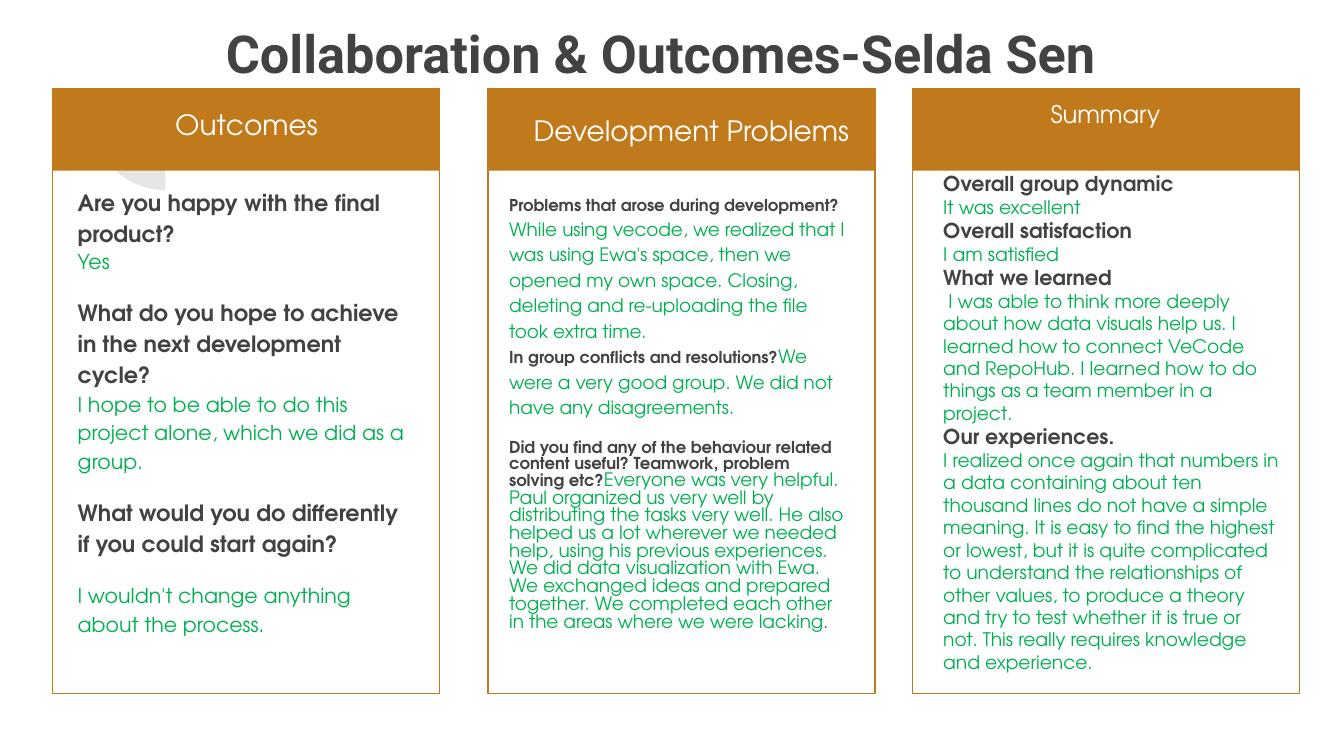
from dataclasses import dataclass

from lxml.etree import SubElement
from pptx import Presentation
from pptx.dml.color import RGBColor
from pptx.enum.shapes import MSO_SHAPE
from pptx.enum.text import MSO_ANCHOR, PP_ALIGN
from pptx.oxml.ns import qn
from pptx.util import Inches, Pt


@dataclass(frozen=True)
class Theme:
    ink: RGBColor = RGBColor(0x42, 0x42, 0x42)
    answer: RGBColor = RGBColor(0x00, 0xB0, 0x50)
    accent: RGBColor = RGBColor(0xC0, 0x79, 0x1B)
    white: RGBColor = RGBColor(0xFF, 0xFF, 0xFF)
    title_font: str = "Roboto"
    body_font: str = "TeX Gyre Adventor"
    title_size: float = 28


@dataclass
class Para:
    """One paragraph: (kind, text) runs, where kind is q, a or end."""
    runs: list
    spacing: float = 1.0
    before: float = 0
    after: float = 0


@dataclass
class Column:
    left: float
    heading: str
    heading_at: tuple
    heading_size: float
    body_at: tuple
    body_height: float
    question_size: float
    answer_size: float
    paras: list


COLUMNS = [
    Column(0.39, "Outcomes", (0.47, 0.66), 15, (0.48, 1.28), 3.88, 12, 11, [
        Para([("q", "Are you happy with the final product?")], 1.15),
        Para([("a", "Yes")], 1.05),
        Para([("q", "What do you hope to achieve in the next development cycle?")],
             1.15, before=12),
        Para([("a", "I hope to be able to do this project alone, which we did "
                    "as a group.")], 1.15),
        Para([("q", "What would you do differently if you could start again?")],
             1.15, before=12, after=12),
        Para([("a", "I wouldn't change anything about the process.")], 1.15),
    ]),
    Column(3.63, "Development Problems", (3.78, 0.71), 15, (3.69, 1.38), 3.78, 8.8, 9.9, [
        Para([("q", "Problems that arose during development?")], 0.8),
        Para([("a", "While using vecode, we realized that I was using Ewa's space, "
                    "then we opened my own space. Closing, deleting and "
                    "re-uploading the file took extra time.")], 1.15),
        Para([("q", "In group conflicts and resolutions?"),
              ("a", "We were a very good group. We did not have any "
                    "disagreements.")], 1.15),
        Para([("q", "Did you find any of the behaviour related content useful? "
                    "Teamwork, problem solving etc?"),
              ("a", "Everyone was very helpful. Paul organized us very well by "
                    "distributing the tasks very well. He also helped us a lot "
                    "wherever we needed help, using his previous experiences. "
                    "We did data visualization with Ewa. We exchanged ideas and "
                    "prepared together. We completed each other in the areas "
                    "where we were lacking"),
              ("end", ".")], 0.8, before=12),
    ]),
    Column(6.79, "Summary", (6.86, 0.61), 13, (6.92, 1.17), 4.35, 11, 10, [
        Para([("q", "Overall group dynamic")]),
        Para([("a", "It was excellent")]),
        Para([("q", "Overall satisfaction")]),
        Para([("a", "I am satisfied")]),
        Para([("q", "What we learned")]),
        Para([("a", " I was able to think more deeply about how data visuals help "
                    "us. I learned how to connect VeCode and RepoHub. I learned how "
                    "to do things as a team member in a project.")]),
        Para([("q", "Our experiences.")]),
        Para([("a", "I realized once again that numbers in a data containing about "
                    "ten thousand lines do not have a simple meaning. It is easy to "
                    "find the highest or lowest, but it is quite complicated to "
                    "understand the relationships of other values, to produce a "
                    "theory and try to test whether it is true or not. This really "
                    "requires knowledge and experience.")]),
    ]),
]


class SlideBuilder:
    def __init__(self, slide, theme):
        self.s = slide
        self.theme = theme

    def font(self, r, size, color, bold=False, name=None):
        r.font.name = name or self.theme.body_font
        r.font.size = Pt(size)
        r.font.bold = bold
        r.font.color.rgb = color

    def frame(self, sp):
        tf = sp.text_frame
        tf.word_wrap = True
        tf.vertical_anchor = MSO_ANCHOR.TOP
        tf.margin_left = tf.margin_right = Inches(0.1)
        tf.margin_top = tf.margin_bottom = Inches(0.1)
        return tf

    def title(self, text, left, top, width, height):
        sp = self.s.shapes.title
        sp.left, sp.top = Inches(left), Inches(top)
        sp.width, sp.height = Inches(width), Inches(height)
        tf = self.frame(sp)
        tf.text = text
        p = tf.paragraphs[0]
        p.alignment = PP_ALIGN.LEFT
        p.line_spacing = 1.0
        self.font(p.runs[0], self.theme.title_size, self.theme.ink, True,
                  self.theme.title_font)

    def shape(self, kind, left, top, width, height, fill=None, line=None):
        sp = self.s.shapes.add_shape(kind, Inches(left), Inches(top),
                                     Inches(width), Inches(height))
        sp.shadow.inherit = False
        if fill is None:
            sp.fill.background()
        else:
            sp.fill.solid()
            sp.fill.fore_color.rgb = fill
        if line is None:
            sp.line.fill.background()
        else:
            sp.line.color.rgb = line
            sp.line.width = Pt(0.75)
        return sp

    def quarter_pie(self, center_x, center_y, size):
        """Draw a faint quarter disc that faces the lower left."""
        sp = self.shape(MSO_SHAPE.PIE, center_x - size / 2, center_y - size / 2,
                        size, size, fill=self.theme.ink)
        sp.adjustments[0], sp.adjustments[1] = 108, 162
        sp.rotation = 270
        color = sp.fill._xPr.find(qn("a:solidFill"))[0]
        SubElement(color, qn("a:alpha")).set("val", "13000")

    def textbox(self, left, top, width, height):
        return self.frame(self.s.shapes.add_textbox(
            Inches(left), Inches(top), Inches(width), Inches(height)))

    def heading(self, text, left, top, size):
        tf = self.textbox(left, top, 2.73, 0.5)
        tf.text = text
        p = tf.paragraphs[0]
        p.alignment = PP_ALIGN.CENTER
        p.line_spacing = 1.15
        self.font(p.runs[0], size, self.theme.white)

    def body(self, col):
        styles = {"q": (col.question_size, self.theme.ink, True),
                  "a": (col.answer_size, self.theme.answer),
                  "end": (col.question_size, self.theme.ink)}
        tf = self.textbox(*col.body_at, 2.7, col.body_height)
        for i, para in enumerate(col.paras):
            p = tf.add_paragraph() if i else tf.paragraphs[0]
            p.line_spacing = para.spacing
            p.space_before, p.space_after = Pt(para.before), Pt(para.after)
            for kind, text in para.runs:
                r = p.add_run()
                r.text = text
                self.font(r, *styles[kind])

    def column(self, col):
        accent = self.theme.accent
        self.shape(MSO_SHAPE.RECTANGLE, col.left, 0.66, 2.88, 0.61, fill=accent)
        self.shape(MSO_SHAPE.RECTANGLE, col.left, 0.66, 2.88, 4.5, line=accent)
        self.heading(col.heading, *col.heading_at, col.heading_size)
        self.body(col)


def main():
    prs = Presentation()
    prs.slide_width = Inches(10)
    prs.slide_height = prs.slide_width * 9 // 16
    slide = SlideBuilder(prs.slides.add_slide(prs.slide_layouts[5]), Theme())
    for size in (0.65, 1.09):
        slide.quarter_pie(1.23, 0.87, size)
    slide.title("Collaboration & Outcomes-Selda Sen", 1.58, 0.06, 7.69, 1.09)
    for col in COLUMNS:
        slide.column(col)
    prs.save("out.pptx")


if __name__ == "__main__":
    main()
